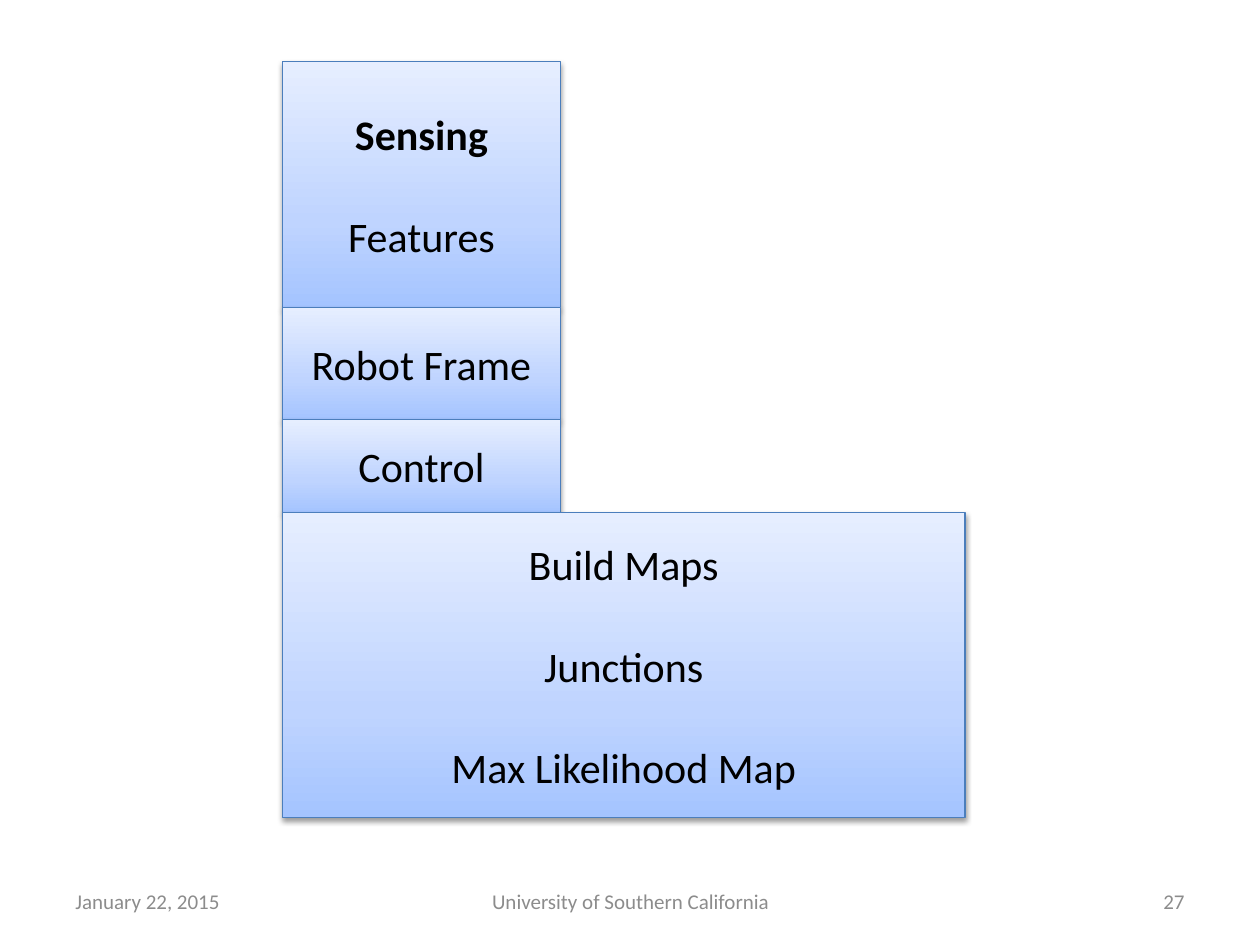
from copy import deepcopy

from lxml import etree
from pptx import Presentation
from pptx.dml.color import RGBColor
from pptx.enum.shapes import MSO_SHAPE
from pptx.enum.text import MSO_ANCHOR, PP_ALIGN
from pptx.oxml import parse_xml
from pptx.util import Inches, Pt

BLACK = RGBColor(0x00, 0x00, 0x00)
GRAY = RGBColor(0x8C, 0x8C, 0x8C)
EDGE = RGBColor(0x4B, 0x7E, 0xBC)
STOPS = [
    (0, RGBColor(0xA4, 0xC4, 0xFF)),
    (0.35, RGBColor(0xBF, 0xD4, 0xFF)),
    (1, RGBColor(0xE6, 0xEE, 0xFF)),
]
SHADOW = (
    '<a:effectLst xmlns:a="http://schemas.openxmlformats.org/drawingml/2006/main">'
    '<a:outerShdw blurRad="40000" dist="20000" dir="5400000" rotWithShape="0">'
    '<a:srgbClr val="000000"><a:alpha val="38000"/></a:srgbClr>'
    '</a:outerShdw></a:effectLst>'
)


def write(tf, lines, size, color, align):
    tf.word_wrap = True
    tf.vertical_anchor = MSO_ANCHOR.MIDDLE
    tf.text = "\n".join(lines)
    for p in tf.paragraphs:
        p.alignment = align
        for r in p.runs:
            r.font.name = "Calibri"
            r.font.size = Pt(size)
            r.font.color.rgb = color


def paint(sp):
    # Three-stop gradient, light at the top
    sp.fill.gradient()
    sp.fill.gradient_angle = 90
    first = sp._element.spPr.find(".//{*}gs")
    first.addnext(deepcopy(first))
    for stop, (position, color) in zip(sp.fill.gradient_stops, STOPS):
        stop.position = position
        stop.color.rgb = color
    sp.line.color.rgb = EDGE
    sp.line.width = Pt(0.75)
    # Soft shadow below
    sp._element.spPr.append(parse_xml(SHADOW))


prs = Presentation()
prs.slide_width, prs.slide_height = Inches(10), Inches(7.5)
s = prs.slides.add_slide(prs.slide_layouts[6])

# Footer
for left, width, text, align in [
    (0.5, 2.33, "January 22, 2015", PP_ALIGN.LEFT),
    (3.42, 3.17, "University of Southern California", PP_ALIGN.CENTER),
    (7.17, 2.33, "27", PP_ALIGN.RIGHT),
]:
    box = s.shapes.add_textbox(Inches(left), Inches(6.95), Inches(width), Inches(0.4))
    write(box.text_frame, [text], 12, GRAY, align)

# Stacked blocks, each starting where the one above ends
top = 0.49
for width, height, lines in [
    (2.21, 1.95, ["Sensing", "Features"]),
    (2.21, 0.89, ["Robot Frame"]),
    (2.21, 0.74, ["Control"]),
    (5.42, 2.42, ["Build Maps", "Junctions", "Max Likelihood Map"]),
]:
    sp = s.shapes.add_shape(MSO_SHAPE.RECTANGLE, Inches(2.24), Inches(top),
                            Inches(width), Inches(height))
    paint(sp)
    write(sp.text_frame, lines, 24, BLACK, PP_ALIGN.CENTER)
    for p in sp.text_frame.paragraphs[1:]:
        p.space_before = Pt(29)
    # The current topic is bold
    sp.text_frame.paragraphs[0].runs[0].font.bold = lines[0] == "Sensing"
    top += height

prs.save("out.pptx")
